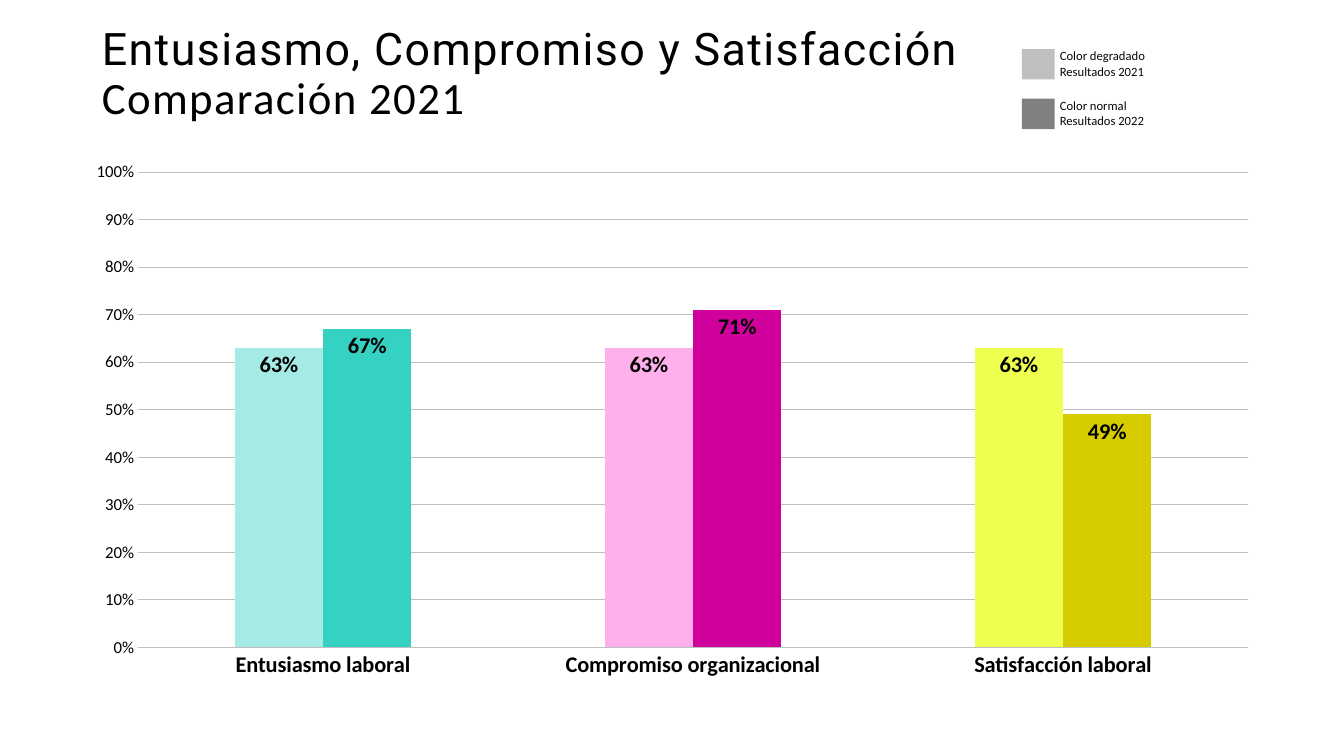
from lxml import etree
from pptx import Presentation
from pptx import util as u
from pptx.chart import data
from pptx.dml.color import RGBColor
from pptx.enum import chart as c, shapes, text

BLACK = RGBColor(0x00, 0x00, 0x00)
INK = RGBColor(0x07, 0x08, 0x0B)
LIGHT_GREY = RGBColor(0xBF, 0xBF, 0xBF)
DARK_GREY = RGBColor(0x80, 0x80, 0x80)
LIGHT_TEAL = RGBColor(0xA3, 0xEB, 0xE4)
TEAL = RGBColor(0x35, 0xD2, 0xC4)
LIGHT_PINK = RGBColor(0xFF, 0xAF, 0xEC)
MAGENTA = RGBColor(0xCF, 0x00, 0x9C)
LIGHT_YELLOW = RGBColor(0xEE, 0xFF, 0x4F)
MUSTARD = RGBColor(0xD6, 0xCC, 0x00)

CATEGORIES = ["Entusiasmo laboral", "Compromiso organizacional", "Satisfacción laboral"]
SERIES = [
    ("Series 1", (0.63, 0.63, 0.63), (LIGHT_TEAL, LIGHT_PINK, LIGHT_YELLOW)),
    ("Series 2", (0.67, 0.71, 0.49), (TEAL, MAGENTA, MUSTARD)),
]
LEGEND = [
    (LIGHT_GREY, "Color degradado", "Resultados 2021"),
    (DARK_GREY, "Color normal", "Resultados 2022"),
]


def set_font(font, size, color=BLACK, bold=False, name="Calibri"):
    font.name, font.size, font.bold = name, u.Pt(size), bold
    font.color.rgb = color


def add_title(slide, left, top, width, height):
    title = slide.shapes.title
    title.left, title.top = u.Pt(left), u.Pt(top)
    title.width, title.height = u.Pt(width), u.Pt(height)
    frame = title.text_frame
    frame.margin_left = frame.margin_top = frame.margin_right = frame.margin_bottom = 0
    frame.auto_size = text.MSO_AUTO_SIZE.NONE
    frame.vertical_anchor = text.MSO_ANCHOR.TOP
    frame.word_wrap = True
    paragraph = frame.paragraphs[0]
    paragraph.alignment = text.PP_ALIGN.LEFT
    paragraph.line_spacing = 0.9
    heading = paragraph.add_run()
    heading.text = "Entusiasmo, Compromiso y Satisfacción"
    paragraph.add_line_break()
    subheading = paragraph.add_run()
    subheading.text = "Comparación 2021"
    for run, name in ((heading, "Roboto"), (subheading, "Calibri")):
        set_font(run.font, 32, name=name)
        run.font._element.set("spc", "100")  # letter spacing of 1 pt


def add_legend(slide, left, top, width, pitch):
    for row, (color, *lines) in enumerate(LEGEND):
        row_top = top + row * pitch
        # Colour key
        swatch = slide.shapes.add_shape(
            shapes.MSO_SHAPE.RECTANGLE, u.Pt(left), u.Pt(row_top + 4), u.Pt(23.4), u.Pt(21.8))
        swatch.shadow.inherit = False
        swatch.fill.solid()
        swatch.fill.fore_color.rgb = color
        swatch.line.fill.background()
        # Label
        label = slide.shapes.add_textbox(
            u.Pt(left + 20), u.Pt(row_top), u.Pt(width - 20), u.Pt(29))
        frame = label.text_frame
        frame.word_wrap = True
        frame.text = "\n".join(lines)
        for paragraph in frame.paragraphs:
            set_font(paragraph.font, 9, INK)


def style_axes(chart):
    category_axis, value_axis = chart.category_axis, chart.value_axis
    for axis, size, bold in ((category_axis, 16, True), (value_axis, 12, False)):
        axis.major_tick_mark = axis.minor_tick_mark = c.XL_TICK_MARK.NONE
        set_font(axis.tick_labels.font, size, bold=bold)
    category_axis.format.line.color.rgb = LIGHT_GREY
    category_axis.format.line.width = u.Pt(0.75)
    value_axis.minimum_scale, value_axis.maximum_scale = 0, 1
    value_axis.major_unit = 0.1
    value_axis.tick_labels.number_format = "0%"
    value_axis.tick_labels.number_format_is_linked = False
    value_axis.format.line.fill.background()
    gridline = value_axis.major_gridlines.format.line
    gridline.color.rgb = LIGHT_GREY
    gridline.width = u.Pt(0.5)


def add_comparison_chart(slide, left, top, width, height):
    chart_data = data.CategoryChartData(number_format="0%")
    chart_data.categories = CATEGORIES
    for name, values, _ in SERIES:
        chart_data.add_series(name, values)
    chart = slide.shapes.add_chart(
        c.XL_CHART_TYPE.COLUMN_CLUSTERED, u.Pt(left), u.Pt(top),
        u.Pt(width), u.Pt(height), chart_data).chart
    chart.has_legend = chart.has_title = False
    set_font(chart.font, 10)
    style_axes(chart)

    # Columns and their labels
    plot = chart.plots[0]
    plot.gap_width, plot.overlap = 219, 0
    plot.vary_by_categories = False
    for series, (_, _, colors) in zip(plot.series, SERIES):
        for index, color in enumerate(colors):
            fill = series.points[index].format.fill
            fill.solid()
            fill.fore_color.rgb = color
        labels = series.data_labels
        labels.show_value = True
        labels.position = c.XL_LABEL_POSITION.INSIDE_END
        labels.number_format, labels.number_format_is_linked = "0%", False
        set_font(labels.font, 16, bold=True)


def main():
    presentation = Presentation()
    presentation.slide_width, presentation.slide_height = u.Pt(960), u.Pt(540)
    slide = presentation.slides.add_slide(presentation.slide_layouts[5])
    add_title(slide, 72.7, 19.4, 616.3, 76.3)
    add_legend(slide, 730, 31, 200, 35.5)
    add_comparison_chart(slide, 51.8, 108, 856.8, 384.5)
    presentation.save("out.pptx")


if __name__ == "__main__":
    main()
